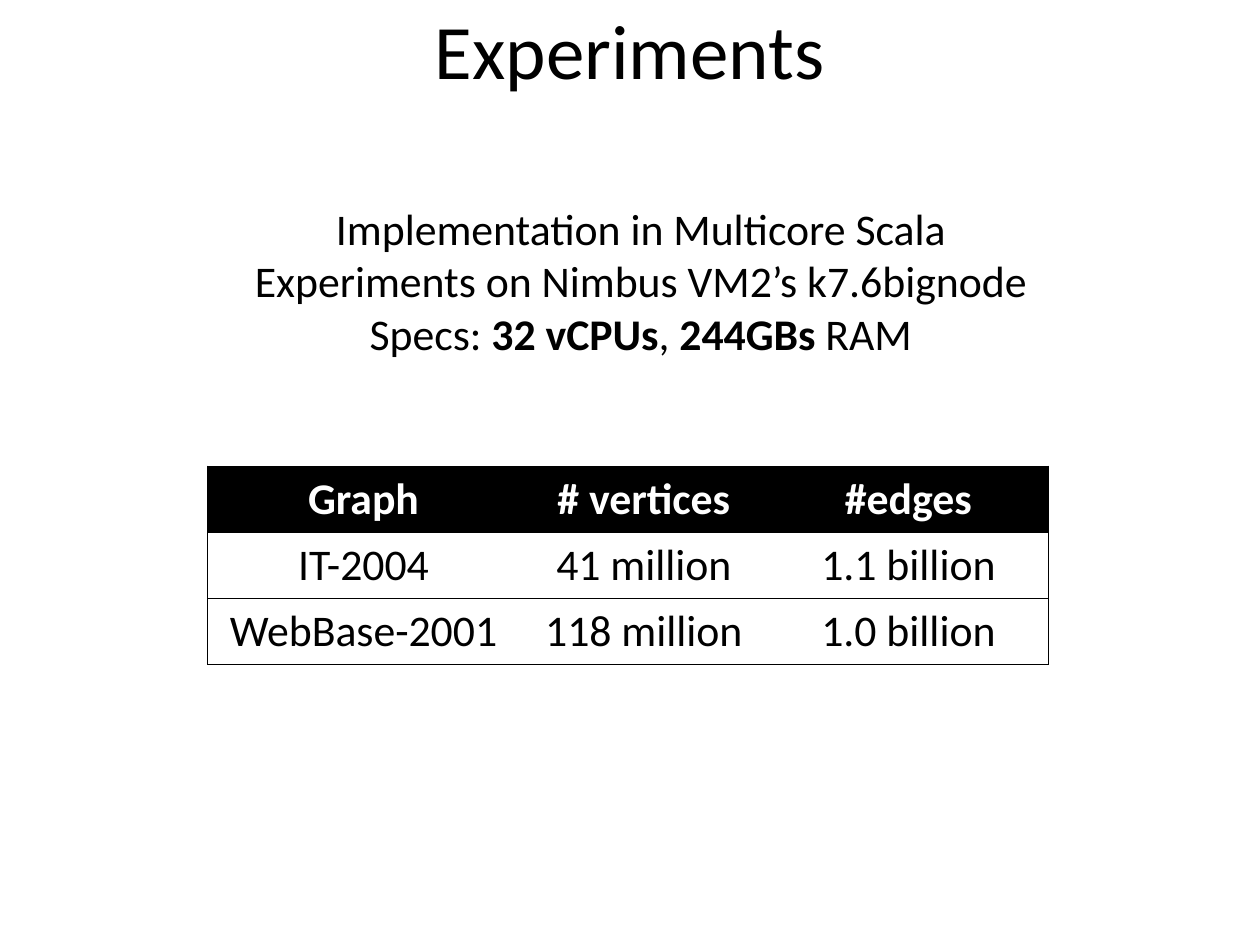
from lxml import etree
from pptx import Presentation
from pptx import util as u
from pptx.dml.color import RGBColor
from pptx.enum import text
from pptx.oxml import ns

WIDTH, HEIGHT = u.Inches(10), u.Inches(7.5)
GRID_COLUMNS, GRID_ROWS = 100, 75
FONT, BODY_SIZE = "Calibri", 25
BLACK, WHITE = "000000", "FFFFFF"
PLAIN_TABLE_STYLE = "{2D5ABB26-0587-4C30-8999-92F81FD0307C}"

SETUP = [
    [("Implementation in Multicore Scala", False)],
    [("Experiments on Nimbus VM2’s k7.6bignode", False)],
    [("Specs: ", False), ("32 vCPUs", True), (", ", False),
     ("244GBs", True), (" RAM", False)],
]
GRAPHS = [
    ["Graph", "# vertices", "#edges"],
    ["IT-2004", "41 million", "1.1 billion"],
    ["WebBase-2001", "118 million", "1.0 billion"],
]
COLUMN_WEIGHTS = [2.47, 1.98, 2.22]


def colour(code):
    return RGBColor.from_string(code)


def area(left, top, width, height):
    """Turn grid columns and rows into lengths."""
    column, row = WIDTH / GRID_COLUMNS, HEIGHT / GRID_ROWS
    return (int(left * column), int(top * row),
            int(width * column), int(height * row))


def add_span(para, words, size=BODY_SIZE, bold=False, code=BLACK):
    para.alignment = text.PP_ALIGN.CENTER
    span = para.add_run()
    span.text = words
    span.font.name, span.font.size, span.font.bold = FONT, u.Pt(size), bold
    span.font.color.rgb = colour(code)


def place_title(page, box, words):
    title = page.shapes.title
    title.left, title.top, title.width, title.height = box
    title.text_frame.vertical_anchor = text.MSO_ANCHOR.TOP
    add_span(title.text_frame.paragraphs[0], words, 44)


def place_setup(page, box, lines):
    frame = page.shapes.add_textbox(*box).text_frame
    frame.word_wrap = True
    frame.auto_size = text.MSO_AUTO_SIZE.SHAPE_TO_FIT_TEXT
    for index, spans in enumerate(lines):
        para = frame.add_paragraph() if index else frame.paragraphs[0]
        for words, bold in spans:
            add_span(para, words, bold=bold)


def add_borders(cell, sides):
    """Draw thin black lines on the named sides, ahead of the cell's fill."""
    properties = cell._tc.get_or_add_tcPr()
    for position, side in enumerate(sides):
        line = etree.Element(ns.qn(f"a:ln{side}"), w=str(u.Pt(0.75)))
        fill = etree.SubElement(line, ns.qn("a:solidFill"))
        etree.SubElement(fill, ns.qn("a:srgbClr"), val=BLACK)
        properties.insert(position, line)


def place_graphs(page, box, rows):
    width, height = box[2:]
    table = page.shapes.add_table(len(rows), len(rows[0]), *box).table
    table._tbl.tblPr.find(ns.qn("a:tableStyleId")).text = PLAIN_TABLE_STYLE
    table.horz_banding = False
    for column, weight in zip(table.columns, COLUMN_WEIGHTS):
        column.width = int(width * weight / sum(COLUMN_WEIGHTS))
    last = len(rows[0]) - 1
    for r, values in enumerate(rows):
        table.rows[r].height = height // len(rows)
        header = r == 0
        for c, words in enumerate(values):
            cell = table.cell(r, c)
            cell.fill.solid()
            cell.fill.fore_color.rgb = colour(BLACK if header else WHITE)
            add_span(cell.text_frame.paragraphs[0], words, bold=header,
                     code=WHITE if header else BLACK)
            add_borders(cell, "L" * (c == 0) + "R" * (c == last) + "TB")


def main():
    deck = Presentation()
    deck.slide_width, deck.slide_height = WIDTH, HEIGHT
    page = deck.slides.add_slide(deck.slide_layouts[5])
    place_title(page, area(5, -0.3, 90, 12.5), "Experiments")
    place_graphs(page, area(16.5, 37, 66.7, 15.5), GRAPHS)
    place_setup(page, area(2.8, 15.5, 96.1, 13.6), SETUP)
    deck.save("out.pptx")


if __name__ == "__main__":
    main()
